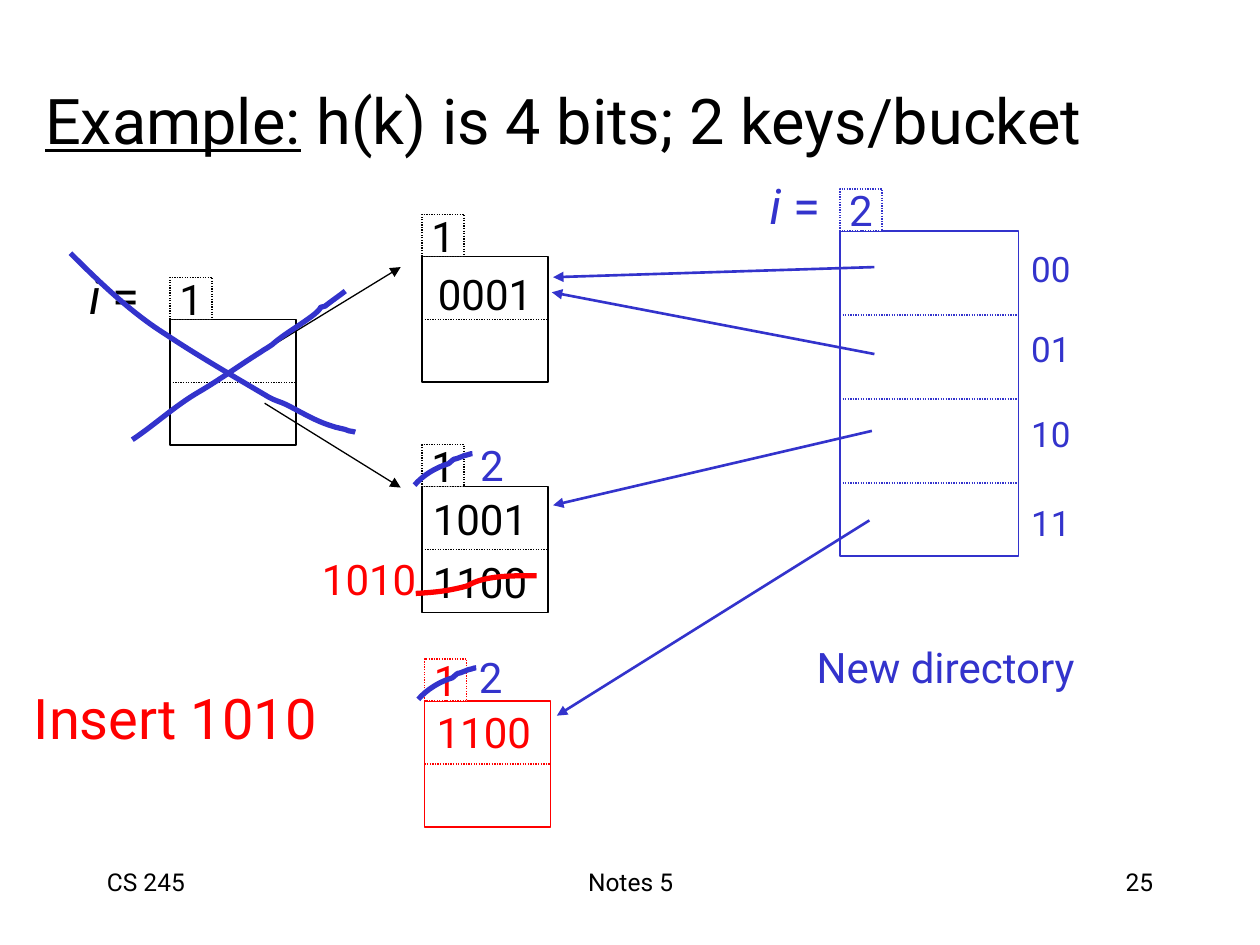
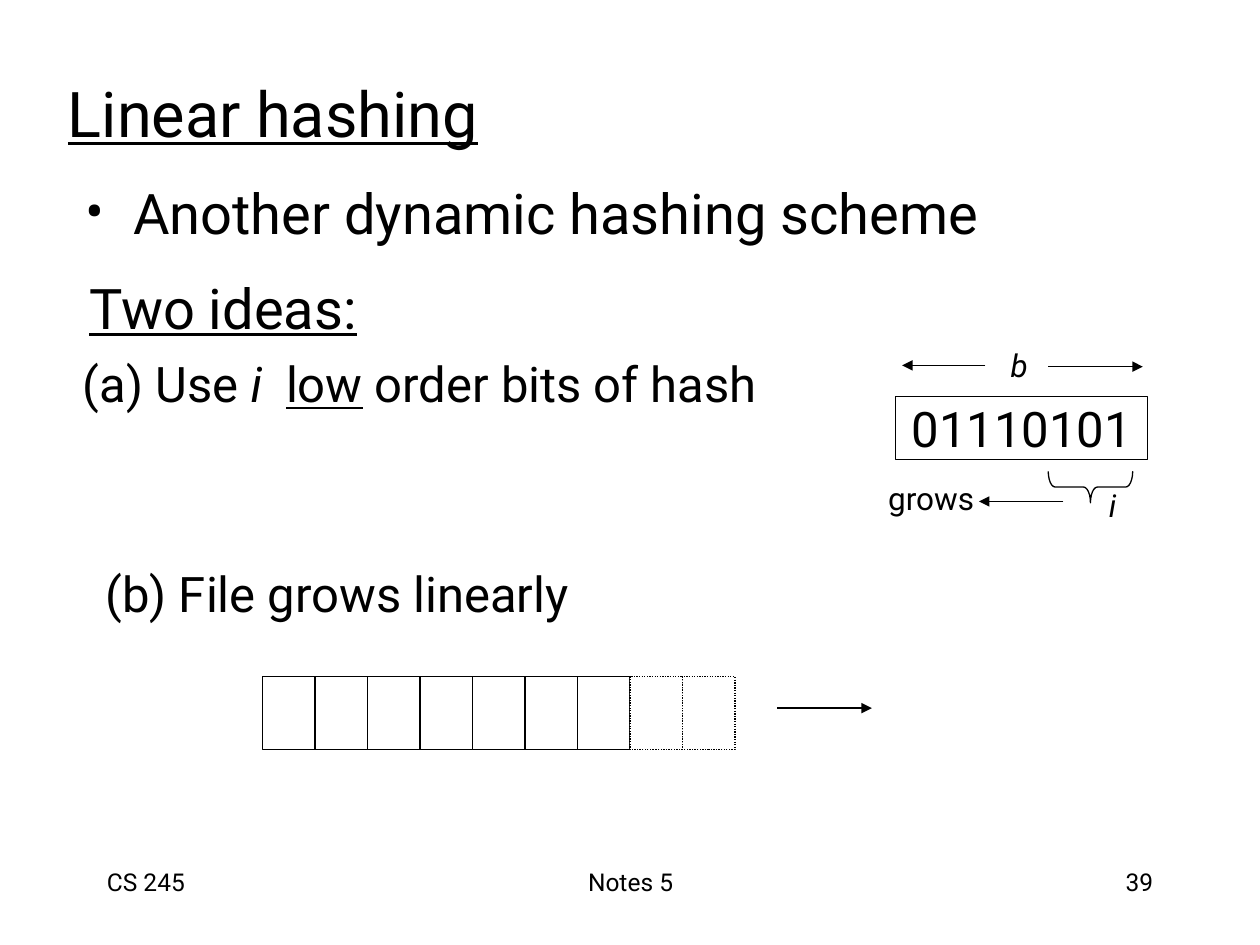
"""Build two lecture slides on extensible and linear hashing."""
from dataclasses import dataclass

from lxml.etree import SubElement
from pptx import Presentation
from pptx.dml.color import RGBColor
from pptx.enum.dml import MSO_LINE
from pptx.enum.shapes import MSO_CONNECTOR, MSO_SHAPE
from pptx.enum.text import MSO_ANCHOR, PP_ALIGN
from pptx.oxml.ns import qn
from pptx.util import Inches, Pt


@dataclass(frozen=True)
class Theme:
    font: str = "Roboto"
    black: RGBColor = RGBColor(0x00, 0x00, 0x00)
    white: RGBColor = RGBColor(0xFF, 0xFF, 0xFF)
    red: RGBColor = RGBColor(0xFF, 0x00, 0x00)
    blue: RGBColor = RGBColor(0x33, 0x33, 0xCC)
    title: int = 36
    heading: int = 32
    body: int = 28
    key: int = 24
    code: int = 20
    note: int = 18
    footer: int = 14
    thin: float = 0.75
    medium: float = 1.5
    thick: float = 3


theme = Theme()
LEFT, CENTER, RIGHT = PP_ALIGN.LEFT, PP_ALIGN.CENTER, PP_ALIGN.RIGHT
TOP, MIDDLE = MSO_ANCHOR.TOP, MSO_ANCHOR.MIDDLE
SOLID, DOTTED = MSO_LINE.SOLID, MSO_LINE.ROUND_DOT


def add_label(slide, place, lines, size, color=theme.black, align=CENTER,
              anchor=MIDDLE, wrap=False, border=None):
    """Add a text box, or a white rectangle if a border style is given."""
    left, top, width, height = map(Inches, place)
    if border is None:
        shape = slide.shapes.add_textbox(left, top, width, height)
    else:
        shape = slide.shapes.add_shape(MSO_SHAPE.RECTANGLE, left, top, width, height)
        shape.shadow.inherit = False
        shape.fill.solid()
        shape.fill.fore_color.rgb = theme.white
        shape.line.color.rgb = color
        shape.line.width = Pt(theme.thin)
        shape.line.dash_style = border
    frame = shape.text_frame
    frame.word_wrap = wrap
    frame.vertical_anchor = anchor
    for index, runs in enumerate(lines):
        paragraph = frame.add_paragraph() if index else frame.paragraphs[0]
        paragraph.alignment = align
        for text, style in runs:
            run = paragraph.add_run()
            run.text = text
            run.font.name = theme.font
            run.font.size = Pt(size)
            run.font.color.rgb = color
            run.font.italic = style == "italic"
            run.font.underline = style == "underline"
    return shape


def add_line(slide, start, end, color=theme.black, width=theme.thin,
             dash=SOLID, arrow=True):
    """Add a straight connector, with an arrowhead at its end if wanted."""
    line = slide.shapes.add_connector(
        MSO_CONNECTOR.STRAIGHT, *map(Inches, (*start, *end)))
    line.line.color.rgb = color
    line.line.width = Pt(width)
    line.line.dash_style = dash
    if arrow:
        SubElement(line._element.spPr.find(qn("a:ln")), qn("a:tailEnd"),
                   type="triangle")
    SubElement(line._element.spPr, qn("a:effectLst"))
    return line


presentation = Presentation()
presentation.slide_width = Inches(10)
presentation.slide_height = Inches(7.5)

pages = [
    ("25", (0.26, 0.32, 9.1, 1.25),
     [("Example:", "underline"), (" h(k) is 4 bits; 2 keys/bucket", "")]),
    ("39", (0.44, 0.45, 8.5, 0.88), [("Linear hashing", "underline")]),
]
for number, title_place, title_runs in pages:
    slide = presentation.slides.add_slide(presentation.slide_layouts[6])
    for text, left, width, align in [("CS 245", 0.75, 2.08, LEFT),
                                     ("Notes 5", 3.42, 3.17, CENTER),
                                     (number, 7.17, 2.08, RIGHT)]:
        add_label(slide, (left, 6.83, width, 0.5), [[(text, "")]], theme.footer,
                  align=align, anchor=TOP, wrap=True)
    add_label(slide, title_place, [title_runs], theme.title, align=LEFT, wrap=True)
example, linear = presentation.slides

tab = 1 / 3
directory_left, directory_width = 20 / 3, 17 / 12
tables = [
    (1.35, 2.2, 1, 1, "1", theme.black),
    (3.35, 1.7, 1, 1, "1", theme.black),
    (3.35, 3.53, 1, 1, "1", theme.black),
    (3.37, 5.23, 1, 1, "1", theme.red),
    (directory_left, 1.5, directory_width, 2.58, "2", theme.blue),
]
for left, tab_top, width, height, depth, color in tables:
    top = tab_top + tab
    table = add_label(example, (left, top, width, height), [], theme.key, color,
                      border=SOLID)
    add_label(example, (left, tab_top, tab, tab), [[(depth, "")]], theme.key,
              color, border=DOTTED)
    if color != theme.blue:
        middle = top + height / 2
        divider = add_line(example, (left, middle), (left + width, middle), color,
                           dash=DOTTED, arrow=False)
        divider.begin_connect(table, 1)
        divider.end_connect(table, 3)
for row in range(3):
    height = 2.5 + row * 2 / 3
    add_line(example, (directory_left, height),
             (directory_left + directory_width, height), theme.blue,
             dash=DOTTED, arrow=False)

for left, top, color in [(0.61, 2.06, theme.black), (6.01, 1.34, theme.blue)]:
    add_label(example, (left, top, 0.86, 0.62), [[("i", "italic"), (" =", "")]],
              theme.body, color, align=LEFT, anchor=TOP, wrap=True)

for text, left, top, width, color in [
    ("0001", 3.37, 2.08, 0.96, theme.black),
    ("1001", 3.33, 3.87, 0.96, theme.black),
    ("1100", 3.33, 4.37, 0.96, theme.black),
    ("1100", 3.36, 5.56, 0.96, theme.red),
    ("1010", 2.45, 4.34, 0.96, theme.red),
    ("2", 3.71, 3.44, 0.39, theme.blue),
    ("2", 3.7, 5.12, 0.39, theme.blue),
    ("New directory", 6.31, 5.04, 2.39, theme.blue),
]:
    add_label(example, (left, top, width, 0.5), [[(text, "")]], theme.key, color)
add_label(example, (0.17, 5.38, 2.51, 0.62), [[("Insert 1010", "")]],
          theme.heading, theme.red, align=LEFT, wrap=True)

codes = add_label(example, (8.08, 1.91, 0.52, 2.46),
                  [[(code, "")] for code in ("00", "01", "10", "11")],
                  theme.code, theme.blue)
for paragraph, spacing in zip(codes.text_frame.paragraphs[1:], (1.4, 1.5, 1.6)):
    paragraph.line_spacing = spacing
    paragraph.space_before = Pt(12.5)

for start, end, color, width in [
    ((2.1, 2.78), (3.18, 2.12), theme.black, theme.thin),
    ((2.1, 3.2), (3.18, 3.87), theme.black, theme.thin),
    ((6.94, 2.12), (4.39, 2.2), theme.blue, theme.medium),
    ((6.94, 2.81), (4.38, 2.32), theme.blue, theme.medium),
    ((6.92, 3.42), (4.39, 4.01), theme.blue, theme.medium),
    ((6.9, 4.13), (4.42, 5.68), theme.blue, theme.medium),
]:
    add_line(example, start, end, color, width)

depth_strike = [(0, 0.25), (0.07, 0.17), (0.17, 0.11), (0.27, 0.08),
                (0.34, 0.02), (0.29, 0.06), (0.36, 0.03),
                (0.39, 0.02), (0.4, 0.01), (0.42, 0.01),
                (0.44, 0), (0.46, 0), (0.46, 0)]
key_strike = [(0, 0.15), (0.17, 0.14), (0.26, 0.13), (0.41, 0.09),
              (0.55, 0), (0.81, 0.01), (0.96, 0.01)]
rising_strike = [(0, 1.18), (0.18, 1.06), (0.34, 0.91), (0.53, 0.8),
                 (0.7, 0.7), (0.85, 0.59), (1.01, 0.49),
                 (1.05, 0.46), (1.1, 0.44), (1.14, 0.4),
                 (1.24, 0.32), (1.35, 0.26), (1.45, 0.18),
                 (1.53, 0.11), (1.46, 0.14), (1.53, 0.12),
                 (1.58, 0.08), (1.64, 0.04), (1.69, 0)]
falling_strike = [(0, 0), (0.23, 0.23), (0.48, 0.47), (0.75, 0.64),
                  (1.02, 0.82), (1.3, 0.98), (1.57, 1.14),
                  (1.62, 1.17), (1.67, 1.18), (1.71, 1.2),
                  (1.83, 1.26), (1.94, 1.33), (2.07, 1.37),
                  (2.12, 1.39), (2.17, 1.39), (2.21, 1.41),
                  (2.23, 1.41), (2.26, 1.42), (2.26, 1.42)]
for left, top, controls, color in [
    (3.3, 4.56, key_strike, theme.red),
    (3.29, 3.6, depth_strike, theme.blue),
    (3.32, 5.3, depth_strike, theme.blue),
    (1.05, 2.31, rising_strike, theme.blue),
    (0.56, 2.01, falling_strike, theme.blue),
]:
    points = [(Inches(left + x), Inches(top + y)) for x, y in controls]
    builder = example.shapes.build_freeform(*points[0])
    builder.add_line_segments(points[1:], close=False)
    strike = builder.convert_to_shape()
    outline = next(strike._element.iter(qn("a:path")))
    segments = outline.findall(qn("a:lnTo"))
    for first in range(0, len(segments), 3):
        curve = SubElement(outline, qn("a:cubicBezTo"))
        for segment in segments[first:first + 3]:
            curve.append(segment[0])
            outline.remove(segment)
    strike.shadow.inherit = False
    strike.fill.background()
    strike.line.color.rgb = color
    strike.line.width = Pt(theme.thick)

scheme = add_label(linear, (0.58, 1.37, 8.5, 0.73),
                   [[("Another dynamic hashing scheme", "")]], theme.heading,
                   align=LEFT, anchor=TOP, wrap=True)
properties = scheme.text_frame.paragraphs[0]._p.get_or_add_pPr()
properties.set("marL", str(Inches(0.38)))
properties.set("indent", str(-Inches(0.38)))
SubElement(properties, qn("a:buFont"), typeface=theme.font)
SubElement(properties, qn("a:buChar"), char="•")

add_label(linear, (0.61, 2.08, 3.17, 0.71), [[("Two ideas:", "underline")]],
          theme.heading, align=LEFT, wrap=True)
for place, runs in [
    ((0.56, 2.76, 5.67, 0.65), [("(a) Use ", ""), ("i  ", "italic"),
                                ("low", "underline"), (" order bits of hash", "")]),
    ((0.74, 4.42, 5, 0.77), [("(b) File grows linearly", "")]),
]:
    add_label(linear, place, [runs], theme.body, align=LEFT, anchor=TOP, wrap=True)

add_label(linear, (7.11, 3.15, 2, 0.5), [[("01110101", "")]], theme.body, border=SOLID)
brace = linear.shapes.add_shape(MSO_SHAPE.LEFT_BRACE, Inches(8.53), Inches(3.53),
                                Inches(0.25), Inches(0.67))
brace.rotation = 270
brace.adjustments[0] = 0.22
brace.shadow.inherit = False
brace.fill.background()
brace.line.color.rgb = theme.black
brace.line.width = Pt(theme.thin)
for text, style, left, top, width in [("grows", "", 6.93, 3.75, 0.92),
                                      ("b", "italic", 7.92, 2.7, 0.34),
                                      ("i", "italic", 8.7, 3.81, 0.26)]:
    add_label(linear, (left, top, width, 0.4), [[(text, style)]], theme.note)

cell_width = 5 / 12
for cell in range(5, 14):
    add_label(linear, (cell * cell_width, 5.37, cell_width, 0.58), [], theme.note,
              border=SOLID if cell < 12 else DOTTED)
for start, end in [((7.82, 2.9), (7.16, 2.9)), ((8.32, 2.91), (9.07, 2.91)),
                   ((8.44, 3.98), (7.77, 3.98)), ((6.17, 5.62), (6.92, 5.62))]:
    add_line(linear, start, end)

presentation.save("out.pptx")
